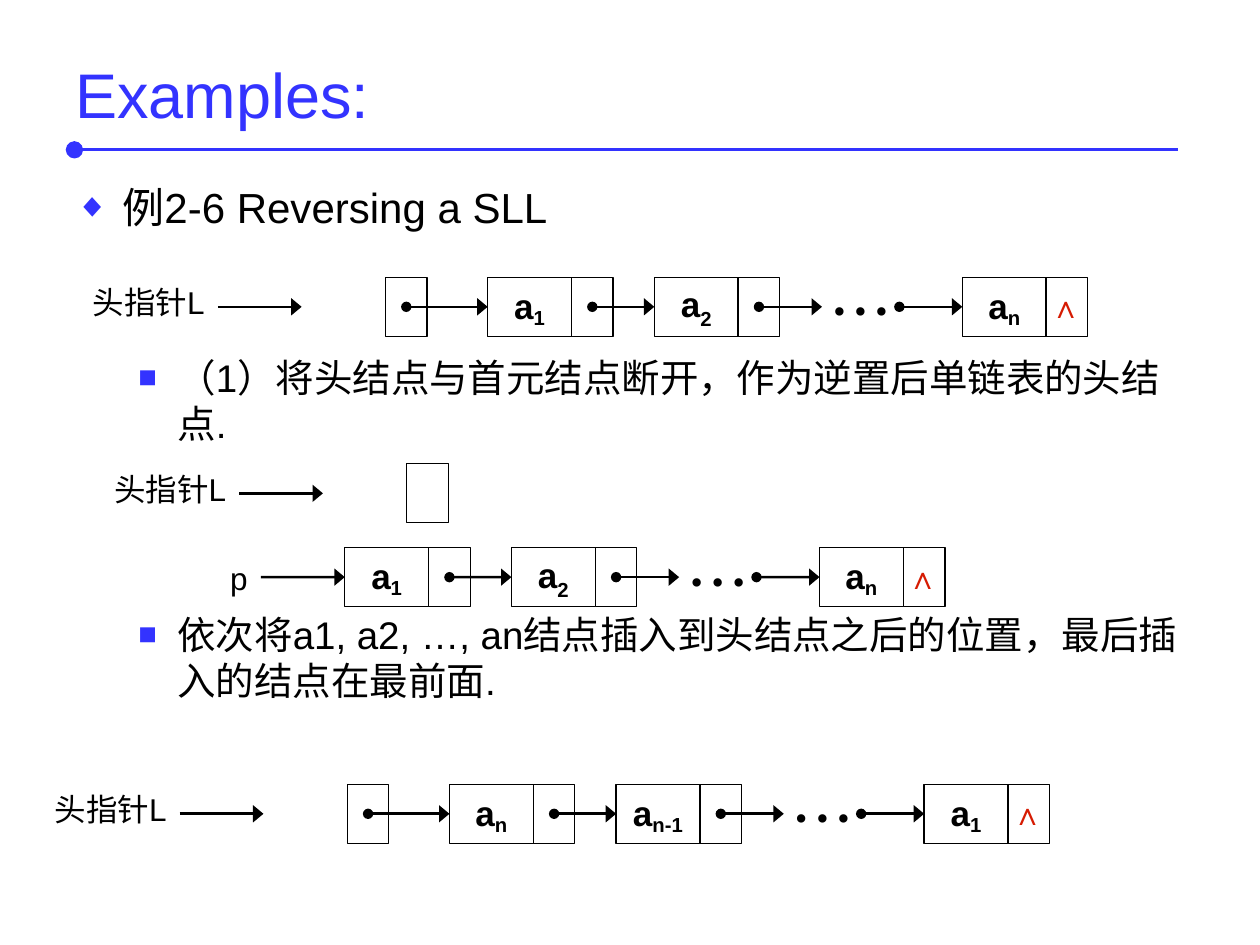
import lxml.etree
import pptx
import pptx.dml.color
import pptx.enum.shapes
import pptx.enum.text
import pptx.oxml.ns
import pptx.util

Cm = pptx.util.Cm
Pt = pptx.util.Pt
qn = pptx.oxml.ns.qn
ANCHOR = pptx.enum.text.MSO_ANCHOR
ALIGN = pptx.enum.text.PP_ALIGN
AUTO_SIZE = pptx.enum.text.MSO_AUTO_SIZE

BLUE = pptx.dml.color.RGBColor(0x33, 0x33, 0xFF)
BLACK = pptx.dml.color.RGBColor(0, 0, 0)
WHITE = pptx.dml.color.RGBColor(0xFF, 0xFF, 0xFF)
RED = pptx.dml.color.RGBColor(0xD6, 0x1B, 0x02)

DATA_WIDTH = 1.69
LINK_WIDTH = 0.84
CELL_HEIGHT = 1.19
NODE_OFFSETS = (0, 3.36, 9.57)
ARROW_LENGTH = 1.27
HEAD_OFFSET = 2.06


class ListSlide:
    font = "Arial"

    def __init__(self, slide):
        self.slide = slide

    def style(self, font, size, color=BLACK, bold=False, name=None):
        font.name = name or self.font
        font.size = Pt(size)
        font.color.rgb = color
        font.bold = bold

    def text(self, x, y, width, height, words, size, color=BLACK, bold=False,
             name=None, wrap=False, grow=True):
        box = self.slide.shapes.add_textbox(Cm(x), Cm(y), Cm(width), Cm(height))
        frame = box.text_frame
        frame.word_wrap = wrap
        frame.auto_size = AUTO_SIZE.SHAPE_TO_FIT_TEXT if grow else AUTO_SIZE.NONE
        frame.text = words
        self.style(frame.paragraphs[0].runs[0].font, size, color, bold, name)
        return frame

    def bullet(self, paragraph, words, mark, size, margin, hanging, before, level):
        paragraph.text = words
        paragraph.level = level
        paragraph.space_before = Pt(before)
        properties = paragraph._p.get_or_add_pPr()
        properties.set("marL", str(Cm(margin)))
        properties.set("indent", str(-Cm(hanging)))
        bullet_color = lxml.etree.SubElement(properties, qn("a:buClr"))
        lxml.etree.SubElement(bullet_color, qn("a:srgbClr"), val=str(BLUE))
        lxml.etree.SubElement(properties, qn("a:buSzPct"), val="80000")
        lxml.etree.SubElement(properties, qn("a:buFont"), typeface=self.font)
        lxml.etree.SubElement(properties, qn("a:buChar"), char=mark)
        self.style(paragraph.runs[0].font, size)

    def line(self, x1, x2, y, color=BLACK, head=None, tail=None, target=None):
        connector = self.slide.shapes.add_connector(
            pptx.enum.shapes.MSO_CONNECTOR.STRAIGHT, Cm(x1), Cm(y), Cm(x2), Cm(y))
        if target is not None:
            connector.end_connect(target, 1)
        connector.line.color.rgb = color
        connector.line.width = Pt(1.5)
        outline = connector.line._get_or_add_ln()
        for tag, end in (("a:headEnd", head), ("a:tailEnd", tail)):
            if end:
                kind, width, length = end
                lxml.etree.SubElement(outline, qn(tag), type=kind, w=width, len=length)
        lxml.etree.SubElement(connector._element.spPr, qn("a:effectLst"))

    def arrow(self, x1, x2, y, dot=True, target=None):
        head = ("oval", "med", "med") if dot else None
        self.line(x1, x2, y, head=head, tail=("triangle", "lg", "med"), target=target)

    def cell(self, x, y, width):
        cell = self.slide.shapes.add_shape(
            pptx.enum.shapes.MSO_SHAPE.RECTANGLE,
            Cm(x), Cm(y), Cm(width), Cm(CELL_HEIGHT))
        cell.shadow.inherit = False
        cell.fill.solid()
        cell.fill.fore_color.rgb = WHITE
        cell.line.color.rgb = BLACK
        cell.line.width = Pt(0.75)
        return cell

    def node(self, x, y, index):
        data = self.cell(x, y, DATA_WIDTH)
        frame = data.text_frame
        frame.word_wrap = False
        frame.vertical_anchor = ANCHOR.MIDDLE
        paragraph = frame.paragraphs[0]
        paragraph.alignment = ALIGN.CENTER
        for words in ("a", index):
            run = paragraph.add_run()
            run.text = words
            self.style(run.font, 20, bold=True)
        baseline = "-25000" if index == "2" else "-16000"
        run._r.get_or_add_rPr().set("baseline", baseline)
        self.cell(x + DATA_WIDTH, y, LINK_WIDTH)
        return data

    def chain(self, x, y, indices):
        lefts = [x + offset for offset in NODE_OFFSETS]
        first, second, last = [self.node(left, y, index)
                               for left, index in zip(lefts, indices)]
        middle = y + CELL_HEIGHT / 2
        links = [left + DATA_WIDTH + LINK_WIDTH / 2 for left in lefts]
        dots = self.text(x + 6.35, y + 0.2, 2.34, 0.84, "• • •", 20,
                         name="Times New Roman", grow=False)
        dots.margin_top = Cm(0.03)
        dots.paragraphs[0].alignment = ALIGN.CENTER
        self.arrow(links[0], lefts[1], middle, target=second)
        self.arrow(links[1], links[1] + ARROW_LENGTH, middle)
        self.arrow(lefts[2] - ARROW_LENGTH, lefts[2], middle, target=last)
        self.text(lefts[2] + 1.52, y + 0.08, 1.14, 1.02, "∧", 18, RED, True)
        return first

    def head(self, x, y, first=None):
        self.cell(x, y, LINK_WIDTH)
        middle = y + CELL_HEIGHT / 2
        self.text(x - 6.15, y, 2.77, 1.02, "头指针L", 18, wrap=True)
        self.arrow(x - 3.38, x - 1.69, middle, dot=False)
        if first is not None:
            self.arrow(x + LINK_WIDTH / 2, x + HEAD_OFFSET, middle, target=first)

    def headed_chain(self, x, y, indices):
        first = self.chain(x, y, indices)
        self.head(x - HEAD_OFFSET, y, first)


def main():
    deck = pptx.Presentation()
    deck.slide_width = Cm(25.4)
    deck.slide_height = Cm(19.05)
    page = ListSlide(deck.slides.add_slide(deck.slide_layouts[6]))

    page.line(1.5, 23.75, 3.02, BLUE, head=("oval", "lg", "lg"))
    title = page.text(1.27, 0.76, 22.86, 2.24, "Examples:", 36, BLUE,
                      wrap=True, grow=False)
    title.vertical_anchor = ANCHOR.MIDDLE

    steps = (
        ("例2-6 Reversing a SLL", "◆", 24, 0.95, 0.95, 0, 0),
        ("（1）将头结点与首元结点断开，作为逆置后单链表的头结点.",
         "■", 22, 2.06, 0.79, 70, 1),
        ("依次将a1, a2, …, an结点插入到头结点之后的位置，最后插入的结点在最前面.",
         "■", 22, 2.06, 0.79, 94, 1),
    )
    body = page.slide.shapes.add_textbox(
        Cm(1.27), Cm(3.53), Cm(22.86), Cm(13.49)).text_frame
    body.word_wrap = True
    for number, step in enumerate(steps):
        paragraph = body.add_paragraph() if number else body.paragraphs[0]
        page.bullet(paragraph, *step)

    page.headed_chain(9.83, 5.59, ("1", "2", "n"))

    page.head(8.2, 9.35)
    detached = page.chain(6.95, 11.04, ("1", "2", "n"))
    page.text(4.39, 11.15, 0.86, 1.02, "p", 18)
    page.arrow(5.26, 6.95, 11.04 + CELL_HEIGHT / 2, dot=False, target=detached)

    page.headed_chain(9.06, 15.81, ("n", "n-1", "1"))

    deck.save("out.pptx")


if __name__ == "__main__":
    main()
